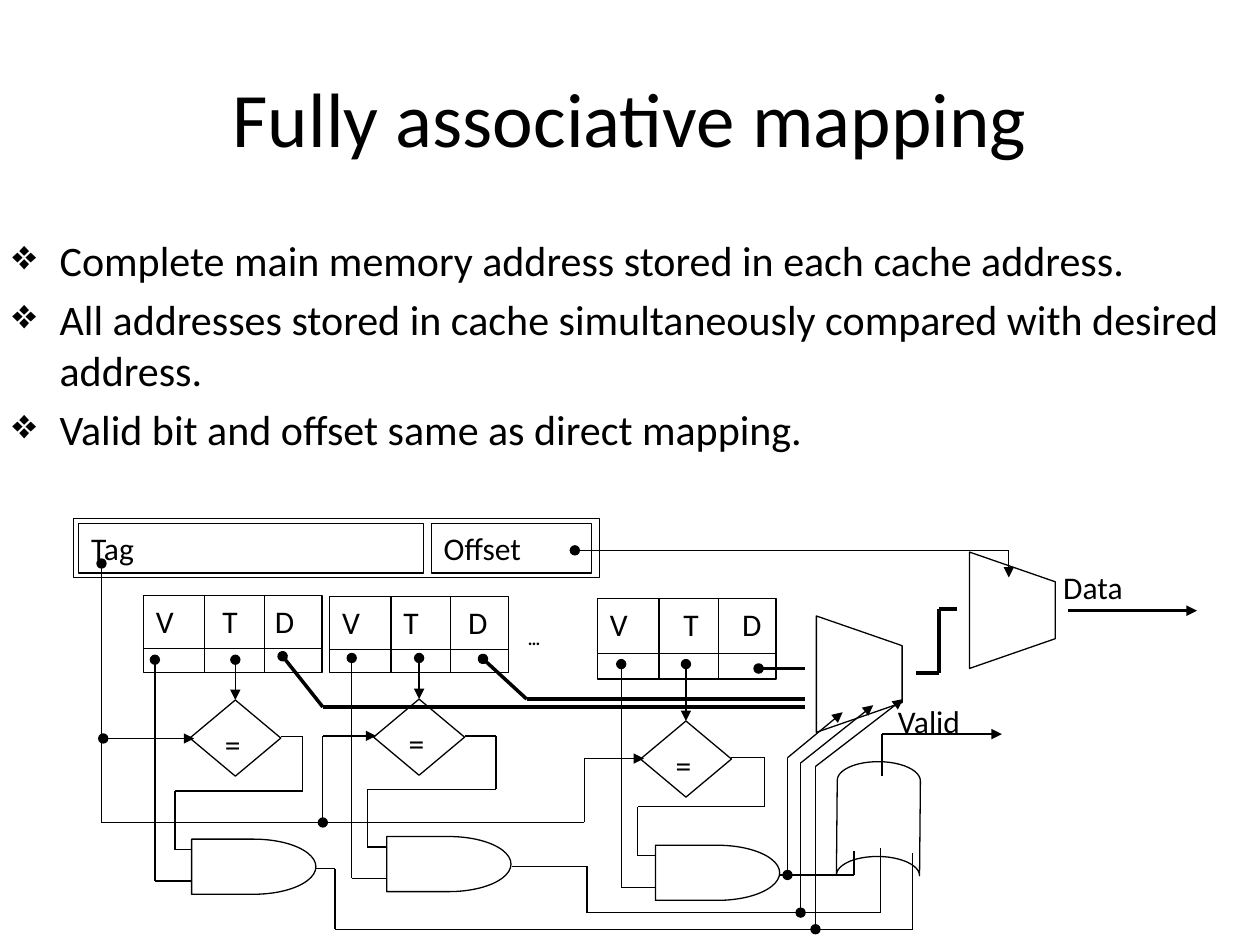
from dataclasses import dataclass
from itertools import pairwise

from lxml import etree
from pptx import Presentation
from pptx import util as u
from pptx.dml.color import RGBColor
from pptx.enum import shapes, text
from pptx.oxml import ns

BLACK = RGBColor(0, 0, 0)
WHITE = RGBColor(255, 255, 255)
KIND = shapes.MSO_SHAPE


def write(frame, lines, size=18, bold=False, align=text.PP_ALIGN.LEFT,
          anchor=text.MSO_ANCHOR.TOP, bullet=None, indent=0, before=0, tabs=()):
    frame.word_wrap = True
    frame.vertical_anchor = anchor
    for index, line in enumerate(lines):
        paragraph = frame.add_paragraph() if index else frame.paragraphs[0]
        paragraph.alignment = align
        paragraph.space_before = u.Pt(before)
        run = paragraph.add_run()
        run.text = line
        run.font.name = "Calibri"
        run.font.size = u.Pt(size)
        run.font.bold = bold
        run.font.color.rgb = BLACK
        props = paragraph._p.get_or_add_pPr()
        if bullet:
            props.set("marL", str(u.Pt(indent)))
            props.set("indent", str(-u.Pt(indent)))
            etree.SubElement(props, ns.qn("a:buChar"), char=bullet)
        if tabs:
            stops = etree.SubElement(props, ns.qn("a:tabLst"))
            for stop in tabs:
                etree.SubElement(stops, ns.qn("a:tab"), pos=str(u.Pt(stop)), algn="l")


@dataclass
class Way:
    left: float
    top: float
    header: float
    bottom: float
    tabs: tuple
    valid: float
    tag: float
    dot: float
    compare: float
    loop: tuple
    gate: tuple


@dataclass
class Diagram:
    slide: object
    thin: float = 0.75
    thick: float = 2

    def label(self, lines, left, top, width, height, **style):
        box = self.slide.shapes.add_textbox(*map(u.Pt, (left, top, width, height)))
        write(box.text_frame, lines, **style)

    def paint(self, shape):
        shape.shadow.inherit = False
        shape.fill.solid()
        shape.fill.fore_color.rgb = WHITE
        shape.line.color.rgb = BLACK
        shape.line.width = u.Pt(self.thin)

    def block(self, kind, left, top, width, height, caption=None, turn=0, **style):
        shape = self.slide.shapes.add_shape(kind, *map(u.Pt, (left, top, width, height)))
        self.paint(shape)
        shape.rotation = turn
        if caption:
            write(shape.text_frame, [caption], **style)

    def mux(self, left, top):
        outline = [(0, 0), (49, 17), (49, 49.5), (0, 66.5)]
        corners = [(u.Pt(left + x), u.Pt(top + y)) for x, y in outline]
        builder = self.slide.shapes.build_freeform(*corners[0])
        builder.add_line_segments(corners[1:], close=True)
        self.paint(builder.convert_to_shape())

    def wire(self, *points, dot=False, arrow=False, heavy=False):
        last = len(points) - 2
        for index, (start, end) in enumerate(pairwise(points)):
            segment = self.slide.shapes.add_connector(
                shapes.MSO_CONNECTOR.STRAIGHT, *map(u.Pt, start + end))
            segment.line.color.rgb = BLACK
            segment.line.width = u.Pt(self.thick if heavy else self.thin)
            line = segment.line._get_or_add_ln()
            if dot and index == 0:
                etree.SubElement(line, ns.qn("a:headEnd"), type="oval")
            if arrow and index == last:
                etree.SubElement(line, ns.qn("a:tailEnd"), type="triangle")
            etree.SubElement(segment._element.spPr, ns.qn("a:effectLst"))

    def cache_way(self, way):
        body = way.top + 7
        self.block(KIND.RECTANGLE, way.left, body, 102, way.bottom - body)
        self.block(KIND.RECTANGLE, way.left, way.top, 102, way.header,
                   "V\tT\tD", tabs=way.tabs)
        for offset in (35, 69):
            x = way.left + offset
            self.wire((x, way.top), (x, way.bottom))
        self.block(KIND.DIAMOND, way.tag - 26, way.compare, 52, 43.5, "=")
        self.wire((way.tag, way.dot), (way.tag, way.compare), dot=True, arrow=True)
        gate_left, gate_top = way.gate
        self.block(KIND.FLOWCHART_DELAY, gate_left, gate_top, 71, 31.5)
        self.wire((way.valid, way.dot), (way.valid, gate_top + 24),
                  (gate_left, gate_top + 24), dot=True)
        near, far, level = way.loop
        middle = way.compare + 21
        self.wire((way.tag + 26, middle), (far, middle), (far, level), (near, level),
                  (near, gate_top + 6), (gate_left, gate_top + 6))


WAYS = [
    Way(82, 340.5, 30, 384.5, (38, 68), 88.5, 134.5, 377, 400,
        (100, 173, 452), (109.5, 479.5)),
    Way(188.5, 341, 30, 384.5, (35, 72), 201, 239.5, 376, 399.5,
        (210, 283.5, 451), (221, 478)),
    Way(341.5, 342, 31.5, 388, (42, 75.5), 355, 392, 379.5, 412,
        (364.5, 437, 461), (374.5, 483)),
]
GATE_OUTPUTS = [
    [(180.5, 496.5), (191.5, 496.5), (191.5, 531), (521.5, 531), (521.5, 487.5)],
    [(292.5, 495), (335.5, 495), (335.5, 521.5), (503, 521.5), (503, 484.5)],
    [(446, 500), (488, 500), (488, 486)],
]
SELECTS = [
    [(450, 500), (450, 433), (481.5, 407)],
    [(457.5, 521.5), (457.5, 436), (499, 403)],
    [(466, 531), (466, 438), (516, 399.5)],
]
DATA_LINES = [
    [(161.5, 375), (184.5, 404), (460, 404)],
    [(276, 376.5), (301, 399.5), (460, 399.5)],
    [(433.5, 382), (460, 382)],
]


def main():
    deck = Presentation()
    deck.slide_width, deck.slide_height = u.Pt(720), u.Pt(540)
    art = Diagram(deck.slides.add_slide(deck.slide_layouts[6]))

    art.label(["Fully associative mapping"], 36, 21.5, 648, 90, size=44,
              align=text.PP_ALIGN.CENTER, anchor=text.MSO_ANCHOR.MIDDLE)
    art.label(["Complete main memory address stored in each cache address.",
               "All addresses stored in cache simultaneously compared with desired address.",
               "Valid bit and offset same as direct mapping."],
              0, 130.5, 720, 140, size=24, bullet="❖", indent=27, before=5)

    art.block(KIND.RECTANGLE, 42, 296.5, 300.5, 33.5)
    art.block(KIND.RECTANGLE, 45, 299, 197, 28.5, "Tag")
    art.block(KIND.RECTANGLE, 246.5, 299, 91.5, 28.5, "Offset")
    for way in WAYS:
        art.cache_way(way)
    art.label(["…"], 294.5, 355.5, 51, 26.5, size=10, bold=True)

    art.mux(554, 315.5)
    art.mux(466.5, 352)
    art.block(KIND.FLOWCHART_STORED_DATA, 469.5, 444, 65, 47.5, turn=90.5)
    art.label(["Valid"], 506, 397.5, 102, 33)
    art.label(["Data"], 600.5, 321, 89, 33)

    art.wire((58, 322), (58, 470), (334, 470), (334, 433.5), (368, 433.5),
             dot=True, arrow=True)
    art.wire((59, 422), (111, 422), dot=True, arrow=True)
    art.wire((184.5, 470), (184.5, 420.5), (215, 420.5), dot=True, arrow=True)
    art.wire((328.5, 314.5), (576.5, 314.5), (576.5, 330), dot=True, arrow=True)
    art.wire((504, 443.5), (504, 419.5), (572.5, 419.5), arrow=True)
    for output in GATE_OUTPUTS:
        art.wire(*output)
    for select in SELECTS:
        art.wire(*select, dot=True, arrow=True)
    for data_line in DATA_LINES:
        art.wire(*data_line, dot=True, heavy=True)
    art.wire((523.5, 384.5), (536.5, 384.5), (536.5, 348), (547, 348), heavy=True)
    art.wire((610.5, 349), (684, 349), arrow=True, heavy=True)

    deck.save("out.pptx")


if __name__ == "__main__":
    main()
